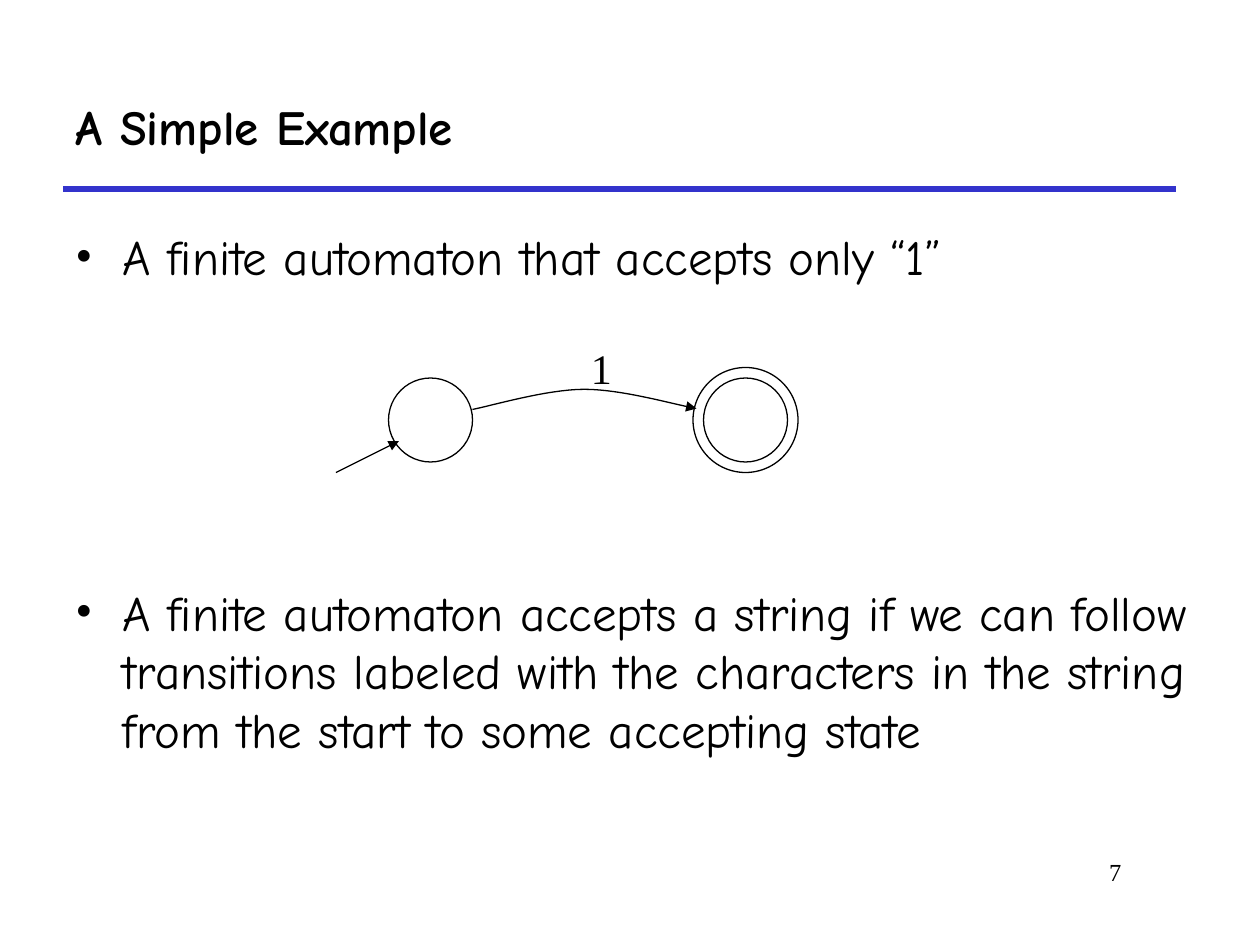
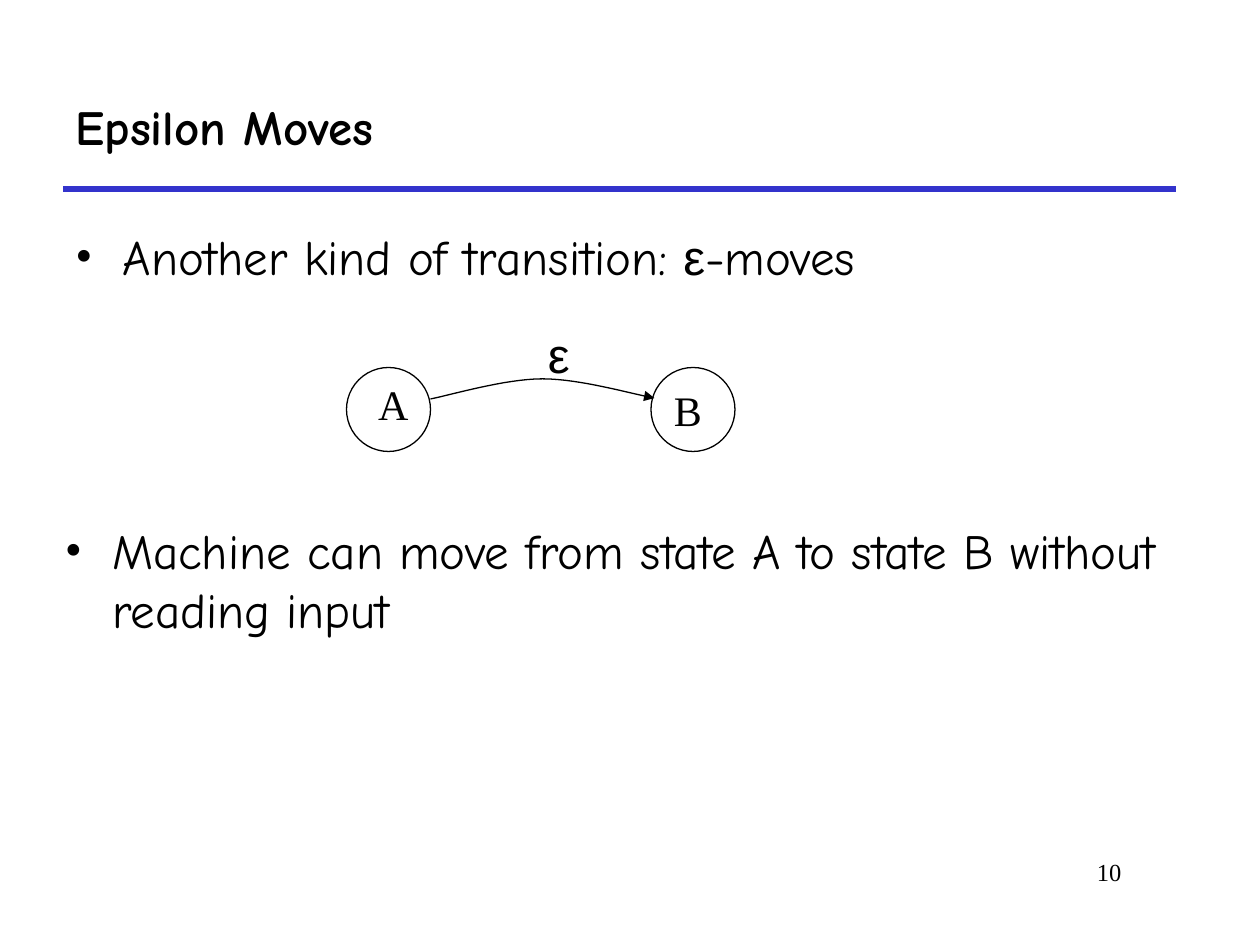
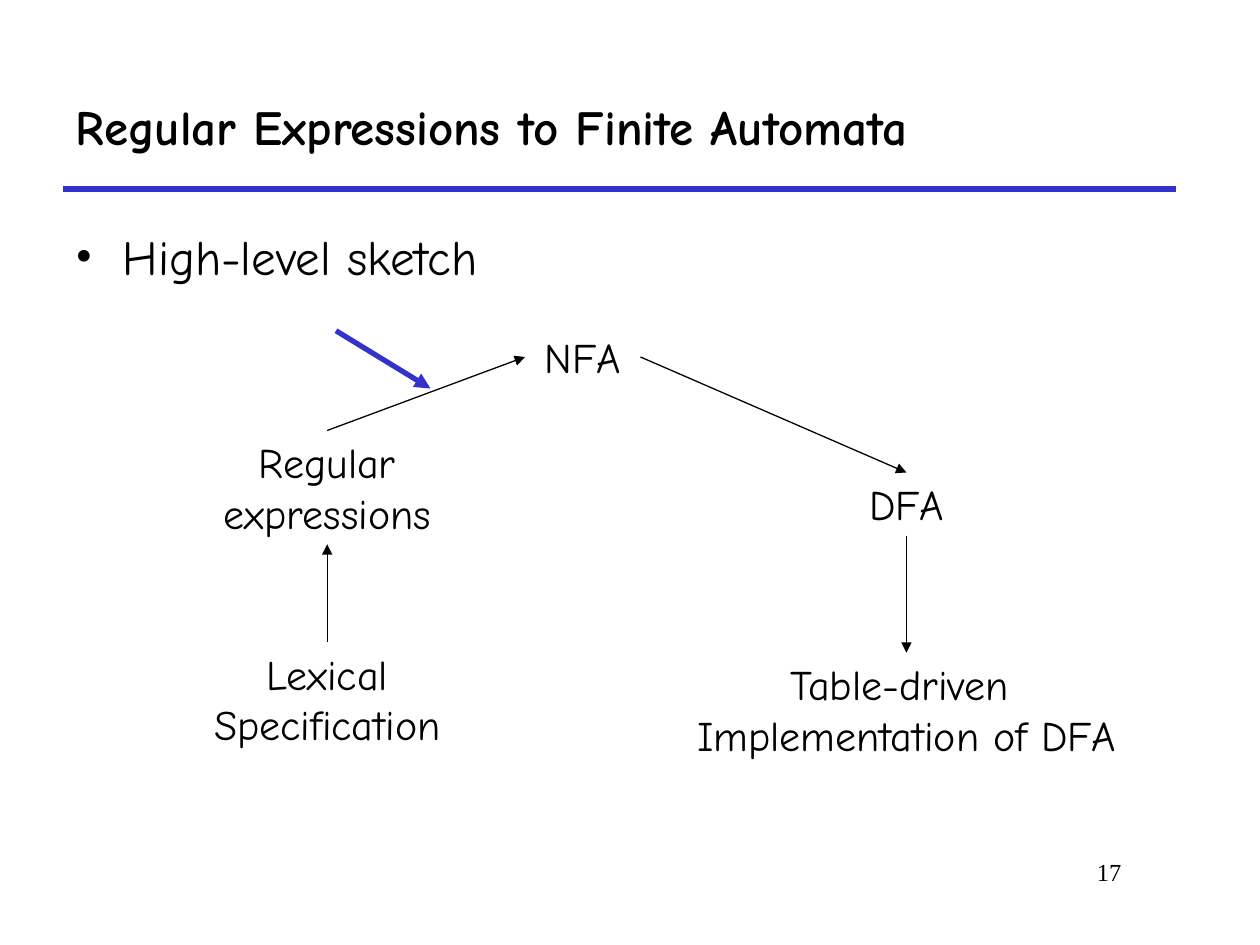
from lxml.etree import SubElement as Sub
from pptx import Presentation
from pptx.dml.color import RGBColor
from pptx.enum.shapes import MSO_CONNECTOR as Link, MSO_SHAPE as Shape
from pptx.enum.text import MSO_ANCHOR as Anchor, MSO_AUTO_SIZE as Fit, PP_ALIGN as Align
from pptx.oxml.ns import qn
from pptx.util import Pt

BLACK = RGBColor(0x00, 0x00, 0x00)
BLUE = RGBColor(0x33, 0x33, 0xCC)
SANS, SERIF, GREEK = "Comic Neue", "Times New Roman", "Arial"
STATE = 48   # diameter of a state
RING = 6     # gap between the two circles of an accepting state
INDENT = 27
GAP = 7      # space above a bullet
# Control points of a transition, measured from its start: two cubic curves
ARC = [(0, 0), (10.5, -2), (42.5, -11.5), (64, -11.5),
       (85.5, -11.5), (114.5, -3), (128, -0.5)]
STEPS = 16


def add_run(par, words, size, font, bold=False):
    run = par.add_run()
    run.text = words
    run.font.size = Pt(size)
    run.font.name = font
    run.font.bold = bold
    run.font.color.rgb = BLACK


def add_box(slide, left, top, width, height, wrap=True):
    box = slide.shapes.add_textbox(Pt(left), Pt(top), Pt(width), Pt(height))
    frame = box.text_frame
    frame.word_wrap = wrap
    frame.auto_size = Fit.NONE if wrap else Fit.SHAPE_TO_FIT_TEXT
    return box


def add_label(slide, place, lines, size=24, font=SERIF, align=Align.LEFT):
    """Add a box that fits its lines, one paragraph each."""
    box = add_box(slide, *place, wrap=False)
    frame = box.text_frame
    for i, line in enumerate(lines):
        par = frame.add_paragraph() if i else frame.paragraphs[0]
        par.alignment = align
        add_run(par, line, size, font)
    return box


def add_list(slide, place, items):
    """Add bullets; an item is the space above it and its (words, font) runs."""
    frame = add_box(slide, *place).text_frame
    for i, (gap, runs) in enumerate(items):
        par = frame.add_paragraph() if i else frame.paragraphs[0]
        par.space_before = Pt(gap)
        props = par._p.get_or_add_pPr()
        props.set("marL", str(Pt(INDENT)))
        props.set("indent", str(-Pt(INDENT)))
        Sub(props, qn("a:buFont"), typeface=SERIF)
        Sub(props, qn("a:buChar"), char="•")
        for words, font in runs:
            add_run(par, words, 28, font)


def set_line(shape, color=BLACK, width=0.75, head=False):
    shape.line.color.rgb = color
    shape.line.width = Pt(width)
    if head:
        Sub(shape.element.spPr.find(qn("a:ln")), qn("a:tailEnd"), type="triangle")


def add_line(slide, start, end, color=BLACK, width=0.75, head=True):
    """Draw a line; each end is a point or a (shape, side) pair to join."""
    line = slide.shapes.add_connector(Link.STRAIGHT, 0, 0, 0, 0)
    if isinstance(start[0], (int, float)):
        line.begin_x, line.begin_y = map(Pt, start)
    else:
        line.begin_connect(*start)
    if isinstance(end[0], (int, float)):
        line.end_x, line.end_y = map(Pt, end)
    else:
        line.end_connect(*end)
    set_line(line, color, width, head)
    Sub(line.element.spPr, qn("a:effectLst"))


def add_ring(slide, left, top, size=STATE):
    ring = slide.shapes.add_shape(Shape.OVAL, Pt(left), Pt(top), Pt(size), Pt(size))
    ring.shadow.inherit = False
    ring.fill.background()
    set_line(ring)


def curve(ctrl):
    """Yield points along a cubic curve, without its first point."""
    for i in range(1, STEPS + 1):
        t = i / STEPS
        parts = ((1 - t) ** 3, 3 * t * (1 - t) ** 2, 3 * t * t * (1 - t), t ** 3)
        yield tuple(sum(w * p[axis] for w, p in zip(parts, ctrl)) for axis in (0, 1))


def add_move(slide, left, top):
    """Draw the curved arrow of a transition from the given point."""
    path = slide.shapes.build_freeform(Pt(left), Pt(top))
    points = [*curve(ARC[:4]), *curve(ARC[3:])]
    path.add_line_segments([(Pt(left + x), Pt(top + y)) for x, y in points], close=False)
    arrow = path.convert_to_shape()
    arrow.shadow.inherit = False
    arrow.fill.background()
    set_line(arrow, head=True)


def add_slide(deck, title, page):
    slide = deck.slides.add_slide(deck.slide_layouts[5])
    head = slide.shapes.title
    head.left, head.top, head.width, head.height = Pt(36), Pt(36), Pt(636), Pt(72)
    frame = head.text_frame
    frame.auto_size = Fit.NONE
    frame.vertical_anchor = Anchor.MIDDLE
    par = frame.paragraphs[0]
    par.alignment = Align.LEFT
    add_run(par, title, 28, SANS, bold=True)
    add_line(slide, (36, 108), (672, 108), BLUE, 3, head=False)
    foot = add_box(slide, 546, 486, 102, 36).text_frame.paragraphs[0]
    foot.alignment = Align.RIGHT
    add_run(foot, str(page), 14, SERIF)
    return slide


def add_simple(deck):
    slide = add_slide(deck, "A Simple Example", 7)
    add_list(slide, (36, 126, 654, 360), [
        (GAP, [("A finite automaton that accepts only “1”", SANS)]),
        (169.5, [("A finite automaton accepts a string if we can follow "
                  "transitions labeled with the characters in the string "
                  "from the start to some accepting state", SANS)]),
    ])
    add_move(slide, 270, 234)
    add_label(slide, (330.5, 192, 26, 36), ["1"])
    add_ring(slide, 402, 216)
    add_ring(slide, 402 - RING, 216 - RING, STATE + 2 * RING)
    add_ring(slide, 222, 216)
    add_line(slide, (192, 270), (228, 252))


def add_epsilon(deck):
    slide = add_slide(deck, "Epsilon Moves", 10)
    add_list(slide, (36, 126, 654, 54), [
        (GAP, [("Another kind of transition: ", SANS), ("ε", GREEK), ("-moves", SANS)]),
    ])
    for left in (198, 372):
        add_ring(slide, left, 210)
    add_move(slide, 246, 228)
    add_label(slide, (306, 182, 26.5, 41), ["ε"], 28, GREEK)
    add_list(slide, (30, 294, 654, 78), [
        (GAP, [("Machine can move from state A to state B without reading input", SANS)]),
    ])
    add_label(slide, (209, 213, 31.5, 36), ["A"])
    add_label(slide, (378, 216, 30, 36), ["B"])


def add_sketch(deck):
    slide = add_slide(deck, "Regular Expressions to Finite Automata", 17)
    add_list(slide, (36, 126, 654, 42), [(GAP, [("High-level sketch", SANS)])])
    regex, nfa, dfa, spec, table = (
        add_label(slide, place, lines, font=SANS, align=Align.CENTER)
        for place, lines in (
            ((119, 246, 136, 65), ["Regular", "expressions"]),
            ((303, 186, 60, 36), ["NFA"]),
            ((488, 270, 60, 36), ["DFA"]),
            ((112, 367, 150, 65), ["Lexical", "Specification"]),
            ((388, 373, 260, 65), ["Table-driven ", "Implementation of DFA"]),
        ))
    add_line(slide, (spec, 0), (regex, 2))
    add_line(slide, (regex, 0), (300, 204))
    add_line(slide, (366, 204), (dfa, 0))
    add_line(slide, (dfa, 2), (table, 0))
    add_line(slide, (192, 189), (246, 222), BLUE, 3)


def main():
    deck = Presentation()
    deck.slide_width, deck.slide_height = Pt(720), Pt(540)
    add_simple(deck)
    add_epsilon(deck)
    add_sketch(deck)
    deck.save("out.pptx")


if __name__ == "__main__":
    main()
